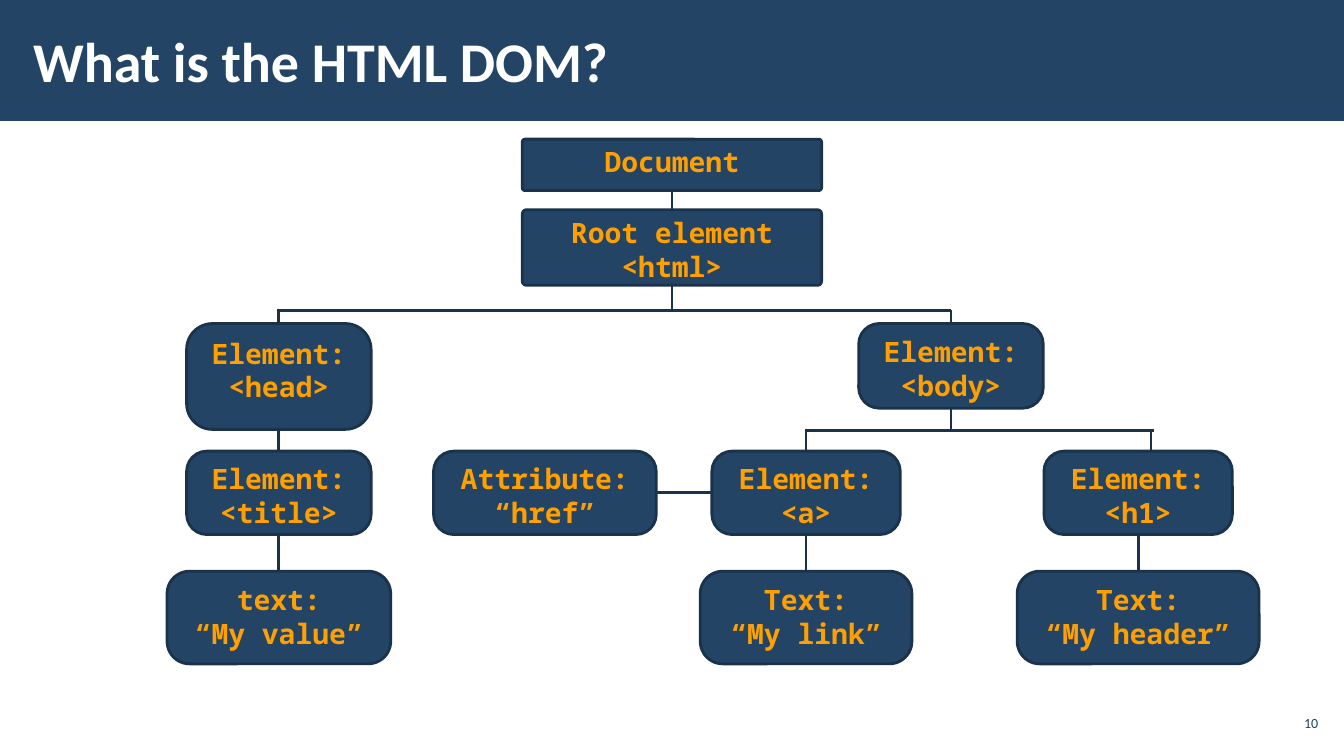
from pptx import Presentation
from pptx.dml.color import RGBColor
from pptx.enum.shapes import MSO_CONNECTOR as CONNECTOR, MSO_SHAPE as SHAPE
from pptx.enum.text import MSO_ANCHOR as ANCHOR, PP_ALIGN as ALIGN
from pptx.oxml import parse_xml
from pptx.oxml.ns import nsdecls
from pptx.util import Pt

NAVY, EDGE, ORANGE, WHITE = "234465", "1A324B", "FFA000", "FFFFFF"
TITLE = "What is the HTML DOM?"
PAGE = "10"

COLUMNS = {"root": 480, "head": 199.2, "body": 679.3,
           "href": 389.2, "a": 575.8, "h1": 813}
ROWS = {"document": 99.4, "root": 149.8, "branch": 231.1,
        "child": 322.2, "value": 408}
SQUARE, ROUND = 0.054, 0.243

NODES = {
    "document": ("Document", "root", "document", 213.8, 36.7, SQUARE),
    "root": ("Root element\v<html>", "root", "root", 213.8, 54, SQUARE),
    "head": ("Element:\v<head>", "head", "branch", 131.8, 75.6, ROUND),
    "body": ("Element:\v<body>", "body", "branch", 131.8, 60.5, ROUND),
    "title": ("Element:\v<title>", "head", "child", 131.8, 59.6, ROUND),
    "href": ("Attribute:\v“href”", "href", "child", 159.1, 59.6, ROUND),
    "a": ("Element:\v<a>", "a", "child", 134.6, 59.6, ROUND),
    "h1": ("Element:\v<h1>", "h1", "child", 134.6, 59.6, ROUND),
    "value": ("text:\v“My value”", "head", "value", 159.8, 66.2, ROUND),
    "link": ("Text:\v“My link”", "a", "value", 151.2, 66.2, ROUND),
    "header": ("Text:\v“My header”", "h1", "value", 172.8, 66.2, ROUND),
}
TOP, BOTTOM, LEFT, RIGHT = 0, 2, 1, 3
LINKS = [("document", BOTTOM, "root", TOP), ("head", BOTTOM, "title", TOP),
         ("title", BOTTOM, "value", TOP), ("a", BOTTOM, "link", TOP),
         ("h1", BOTTOM, "header", TOP), ("href", RIGHT, "a", LEFT)]
ROOT_RAIL, BODY_RAIL = 221.5, 307.4
H1_DROP = 822.2
RAILS = [(198, 679.3, ROOT_RAIL), (575.3, 824.4, BODY_RAIL)]
STEMS = [("root", BOTTOM, ROOT_RAIL), ("head", TOP, ROOT_RAIL),
         ("body", TOP, ROOT_RAIL), ("body", BOTTOM, BODY_RAIL),
         ("a", TOP, BODY_RAIL)]


def color(value):
    return RGBColor.from_string(value)


def write(frame, text, font, size, ink, bold, align):
    frame.word_wrap = True
    frame.text = text
    paragraph = frame.paragraphs[0]
    paragraph.alignment = align
    for run in paragraph.runs:
        run.font.name, run.font.size, run.font.bold = font, Pt(size), bold
        run.font.color.rgb = color(ink)


def add_block(slide, kind, left, top, width, height):
    block = slide.shapes.add_shape(kind, Pt(left), Pt(top), Pt(width), Pt(height))
    block.shadow.inherit = False
    block.fill.solid()
    block.fill.fore_color.rgb = color(NAVY)
    return block


def add_node(slide, text, column, row, width, height, corner):
    node = add_block(slide, SHAPE.ROUNDED_RECTANGLE,
                     COLUMNS[column] - width / 2, ROWS[row], width, height)
    node.adjustments[0] = corner
    node.line.color.rgb = color(EDGE)
    node.line.width = Pt(2)
    node.text_frame.vertical_anchor = ANCHOR.TOP
    write(node.text_frame, text, "Noto Sans Mono", 20, ORANGE, True, ALIGN.CENTER)
    return node


def add_label(slide, text, box, inset, size, ink, bold, align):
    label = slide.shapes.add_textbox(*map(Pt, box))
    frame = label.text_frame
    frame.vertical_anchor = ANCHOR.MIDDLE
    frame.margin_left = frame.margin_right = Pt(inset)
    frame.margin_top = frame.margin_bottom = Pt(3)
    write(frame, text, "Calibri", size, ink, bold, align)


def add_line(slide, x1=0, y1=0, x2=0, y2=0):
    line = slide.shapes.add_connector(CONNECTOR.STRAIGHT, Pt(x1), Pt(y1), Pt(x2), Pt(y2))
    line.line.color.rgb = color(EDGE)
    line.line.width = Pt(2)
    line._element.spPr.append(parse_xml(f"<a:effectLst {nsdecls('a')}/>"))
    return line


def main():
    deck = Presentation()
    deck.slide_width, deck.slide_height = Pt(960), Pt(540)
    slide = deck.slides.add_slide(deck.slide_layouts[6])

    banner = add_block(slide, SHAPE.RECTANGLE, 0, 0, 960, 86.4)
    banner.line.fill.background()
    add_label(slide, TITLE, (15.1, 7.9, 748.8, 69.8), 8.6, 40, WHITE, True, ALIGN.LEFT)
    add_label(slide, PAGE, (910.8, 504, 33.8, 24.5), 3, 10, NAVY, False, ALIGN.RIGHT)

    nodes = {key: add_node(slide, *node) for key, node in NODES.items()}
    for start, start_side, end, end_side in LINKS:
        link = add_line(slide)
        link.begin_connect(nodes[start], start_side)
        link.end_connect(nodes[end], end_side)
    for left, right, y in RAILS:
        add_line(slide, left, y, right, y)
    for key, side, rail in STEMS:
        x = COLUMNS[NODES[key][1]]
        stem = add_line(slide, x, rail, x, rail)
        stem.begin_connect(nodes[key], side)
    add_line(slide, H1_DROP, BODY_RAIL, H1_DROP, ROWS["child"])

    deck.save("out.pptx")


if __name__ == "__main__":
    main()
